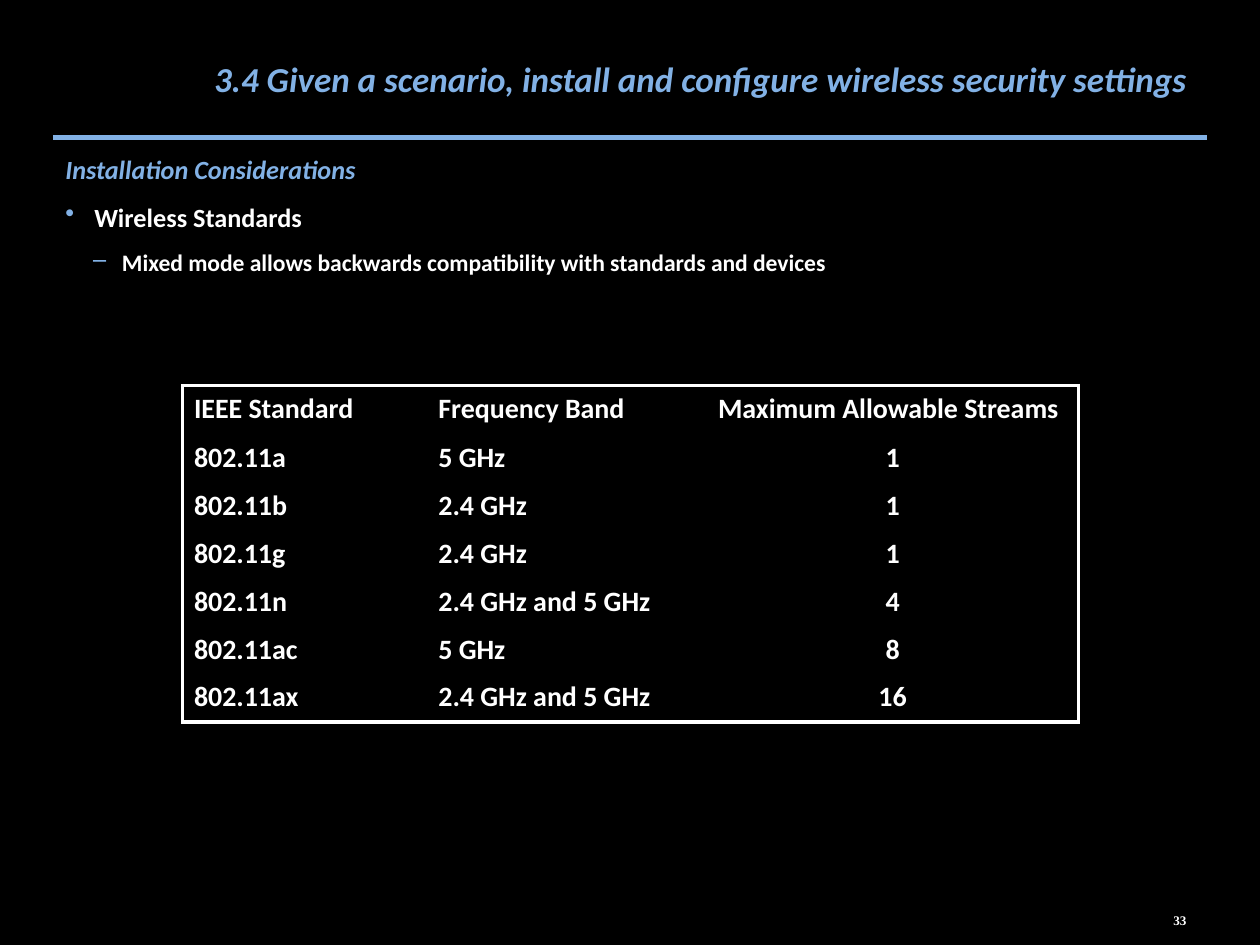
from lxml import etree
from pptx import Presentation
from pptx.dml.color import RGBColor
from pptx.enum.shapes import MSO_CONNECTOR
from pptx.enum.text import MSO_ANCHOR, PP_ALIGN
from pptx.oxml.ns import qn
from pptx.util import Inches, Pt

COLORS = {"back": "000000", "accent": "82B1E5", "text": "FFFFFF"}


def add_run(p, text, size, color, italic=False, font="Calibri"):
    r = p.add_run()
    r.text = text
    r.font.name, r.font.size = font, Pt(size)
    r.font.bold, r.font.italic = True, italic
    r.font.color.rgb = RGBColor.from_string(COLORS[color])


def add_box(left, top, width, height, anchor):
    tf = slide.shapes.add_textbox(*map(Inches, (left, top, width, height))).text_frame
    tf.word_wrap = True
    tf.vertical_anchor = anchor
    return tf


prs = Presentation()
prs.slide_width, prs.slide_height = Inches(10), Inches(7.5)
slide = prs.slides.add_slide(prs.slide_layouts[6])
slide.background.fill.solid()
slide.background.fill.fore_color.rgb = RGBColor.from_string(COLORS["back"])

# Rule under the title
rule = slide.shapes.add_connector(
    MSO_CONNECTOR.STRAIGHT, Inches(0.42), Inches(1.09), Inches(9.58), Inches(1.09))
rule.line.color.rgb = RGBColor.from_string(COLORS["accent"])
rule.line.width = Pt(3)
etree.SubElement(rule._element.spPr, qn("a:effectLst"))

# Body: heading, bullet, sub-bullet
body = [
    ("Installation Considerations", 15, "accent", None, 0),
    ("Wireless Standards", 15, "text", "•", 0.23),
    ("Mixed mode allows backwards compatibility with standards and devices",
     13.5, "text", "–", 0.45),
]
tf = add_box(0.42, 1.17, 9.17, 5.83, MSO_ANCHOR.TOP)
for i, (text, size, color, bullet, indent) in enumerate(body):
    p = tf.add_paragraph() if i else tf.paragraphs[0]
    p.level = i
    if i:
        p.space_before = Pt(9)
    if bullet:
        pPr = p._p.get_or_add_pPr()
        pPr.set("marL", str(Inches(indent)))
        pPr.set("indent", str(Inches(-0.23)))
        bu_color = etree.SubElement(pPr, qn("a:buClr"))
        etree.SubElement(bu_color, qn("a:srgbClr"), val=COLORS["accent"])
        etree.SubElement(pPr, qn("a:buChar"), char=bullet)
    add_run(p, text, size, color, italic=not bullet)

# Title and page number
title = add_box(1.52, 0.08, 8.08, 1.08, MSO_ANCHOR.MIDDLE).paragraphs[0]
title.alignment = PP_ALIGN.CENTER
add_run(title, "3.4 Given a scenario, install and configure wireless security settings",
        20, "accent", italic=True)
number = add_box(8.74, 7.14, 1.25, 0.33, MSO_ANCHOR.MIDDLE).paragraphs[0]
number.alignment = PP_ALIGN.CENTER
add_run(number, "33", 7.5, "text", font="Times New Roman")

# Table of standards, framed on the outside only
rows = [
    ("IEEE Standard", "Frequency Band", "Maximum Allowable Streams"),
    ("802.11a", "5 GHz", "1"),
    ("802.11b", "2.4 GHz", "1"),
    ("802.11g", "2.4 GHz", "1"),
    ("802.11n", "2.4 GHz and 5 GHz", "4"),
    ("802.11ac", "5 GHz", "8"),
    ("802.11ax", "2.4 GHz and 5 GHz", "16"),
]
widths = [1.94, 2.22, 2.95]
last_row, last_col = len(rows) - 1, len(widths) - 1
table = slide.shapes.add_table(
    len(rows), len(widths), Inches(1.45), Inches(3.06), Inches(7.11), Inches(2.67)).table
table.first_row = table.horz_banding = False
for column, width in zip(table.columns, widths):
    column.width = Inches(width)
for i, row in enumerate(rows):
    table.rows[i].height = Inches(0.38 if i else 0.39)
    for j, text in enumerate(row):
        cell = table.cell(i, j)
        cell.margin_left = cell.margin_right = Inches(0.09)
        cell.margin_top = cell.margin_bottom = Inches(0.05)
        p = cell.text_frame.paragraphs[0]
        if i and j == last_col:
            p.alignment = PP_ALIGN.CENTER
        add_run(p, text, 16, "text")
        tcPr = cell._tc.get_or_add_tcPr()
        edges = {"lnL": j == 0, "lnR": j == last_col, "lnT": i == 0, "lnB": i == last_row}
        for tag, outer in edges.items():
            ln = etree.SubElement(tcPr, qn(f"a:{tag}"), w=str(Pt(2.25)))
            if outer:
                fill = etree.SubElement(ln, qn("a:solidFill"))
                etree.SubElement(fill, qn("a:srgbClr"), val=COLORS["text"])
            else:
                etree.SubElement(ln, qn("a:noFill"))
        cell.fill.solid()
        cell.fill.fore_color.rgb = RGBColor.from_string(COLORS["back"])

prs.save("out.pptx")
